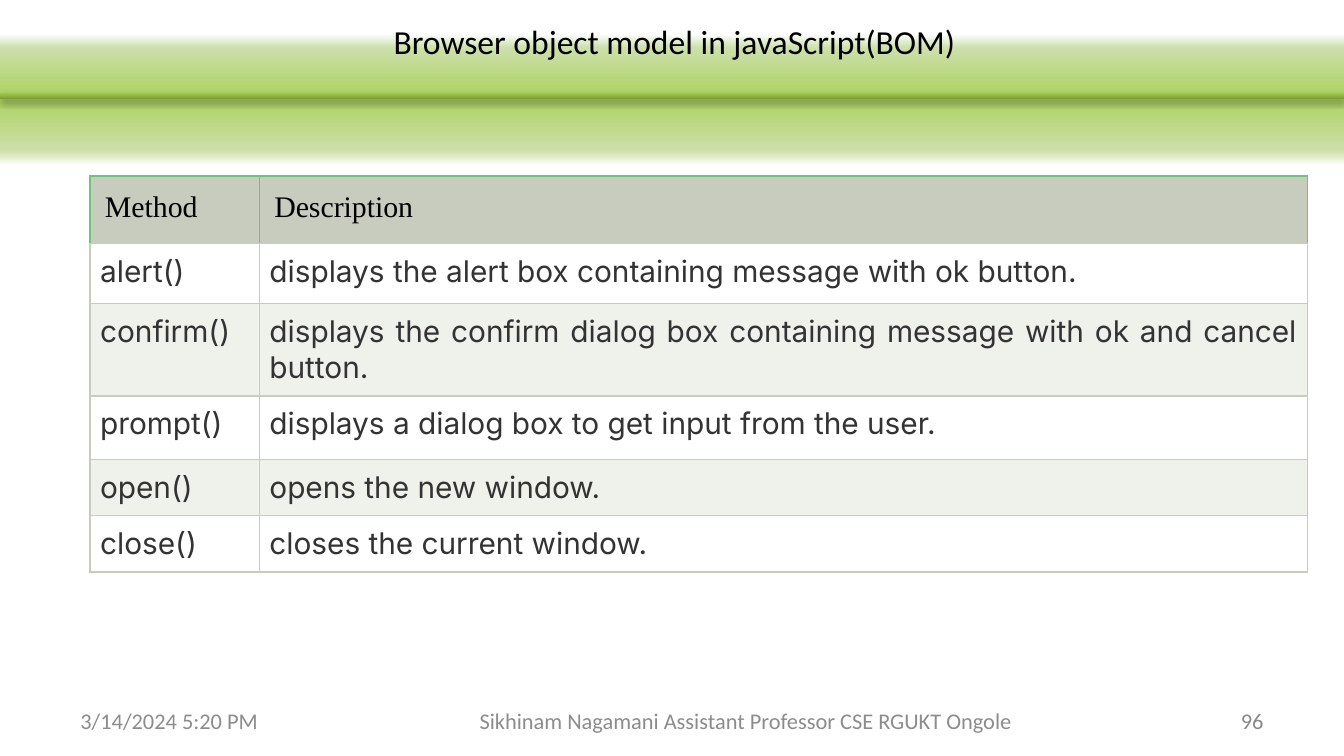
from dataclasses import dataclass

from lxml.etree import SubElement
from pptx import Presentation
from pptx.dml.color import RGBColor
from pptx.enum.shapes import MSO_SHAPE
from pptx.enum.text import MSO_ANCHOR, PP_ALIGN
from pptx.oxml.ns import qn
from pptx.util import Inches, Pt

BLACK = RGBColor(0x00, 0x00, 0x00)
WHITE = RGBColor(0xFF, 0xFF, 0xFF)
BODY_TEXT = RGBColor(0x33, 0x33, 0x33)
FOOTER_GRAY = RGBColor(0x8C, 0x8C, 0x8C)
NUMBER_GRAY = RGBColor(0x89, 0x89, 0x89)
HEADER_FILL = RGBColor(0xC7, 0xCC, 0xBE)
HEADER_LINE = RGBColor(0x70, 0xC4, 0x77)
BAND_FILL = RGBColor(0xEF, 0xF1, 0xEB)
BAR_DARK = RGBColor(0x77, 0x97, 0x37)
BAR_MIDDLE = RGBColor(0x9B, 0xC3, 0x48)
BAR_LIGHT = RGBColor(0x9D, 0xC7, 0x46)
GLOW_PALE = RGBColor(0xCD, 0xDF, 0xAA)
GLOW_STRONG = RGBColor(0xAB, 0xD2, 0x5F)


@dataclass(frozen=True)
class Label:
    text: str
    left: float
    top: float
    width: float
    height: float
    size: int
    color: RGBColor
    align: PP_ALIGN = PP_ALIGN.LEFT
    anchor: MSO_ANCHOR = MSO_ANCHOR.MIDDLE


@dataclass(frozen=True)
class CellStyle:
    font: str
    color: RGBColor
    align: PP_ALIGN
    inset_points: float
    side_line: RGBColor


@dataclass(frozen=True)
class Method:
    name: str
    description: str
    height: float


LABELS = [
    Label("96", 7.17, 5.21, 2.33, 0.3, 12, NUMBER_GRAY, PP_ALIGN.RIGHT),
    Label("3/14/2024 5:20 PM", 0.5, 5.21, 2.33, 0.3, 12, FOOTER_GRAY),
    Label("Browser object model in javaScript(BOM)", 2.83, 0.11, 5.32, 0.4, 18,
          BLACK, anchor=MSO_ANCHOR.TOP),
    Label("Sikhinam Nagamani Assistant Professor CSE RGUKT Ongole",
          3.42, 5.21, 4.26, 0.3, 12, FOOTER_GRAY, PP_ALIGN.CENTER),
]
HEADER_STYLE = CellStyle("Times New Roman", BLACK, PP_ALIGN.LEFT, 8, HEADER_LINE)
BODY_STYLE = CellStyle("Inter", BODY_TEXT, PP_ALIGN.JUSTIFY, 5.4, HEADER_FILL)
COLUMN_WIDTHS = [1.26, 7.8]
ROWS = [
    Method("Method", "Description", 0.5),
    Method("alert()", "displays the alert box containing message with ok button.", 0.45),
    Method("confirm()", "displays the confirm dialog box containing message "
           "with ok and cancel button.", 0.47),
    Method("prompt()", "displays a dialog box to get input from the user.", 0.47),
    Method("open()", "opens the new window.", 0.42),
    Method("close()", "closes the current window.", 0.42),
]


def add_color(parent, color: RGBColor):
    return SubElement(parent, qn("a:srgbClr"), val=str(color))


def add_bar(page, top: float, height: float, angle: int,
            stops: list[tuple[int, RGBColor]]):
    """Draw a full-width rectangle with a gradient of any number of stops."""
    bar = page.shapes.add_shape(MSO_SHAPE.RECTANGLE, 0, Inches(top),
                                Inches(10), Inches(height))
    bar.shadow.inherit = False
    bar.line.fill.background()
    bar.fill.gradient()
    bar.fill.gradient_angle = angle
    stop_list = bar._element.spPr.find(qn("a:gradFill")).find(qn("a:gsLst"))
    for old_stop in list(stop_list):
        stop_list.remove(old_stop)
    for percent, color in stops:
        add_color(SubElement(stop_list, qn("a:gs"), pos=str(percent * 1000)), color)
    return bar


def add_shadow(shape) -> None:
    effects = shape._element.spPr.find(qn("a:effectLst"))
    shadow = SubElement(effects, qn("a:outerShdw"), blurRad=str(Pt(3.1)),
                        dist=str(Pt(1.8)), dir="5400000", rotWithShape="0")
    SubElement(add_color(shadow, BLACK), qn("a:alpha"), val="35000")


def add_label(page, label: Label) -> None:
    box = page.shapes.add_textbox(Inches(label.left), Inches(label.top),
                                  Inches(label.width), Inches(label.height))
    frame = box.text_frame
    frame.word_wrap = True
    frame.vertical_anchor = label.anchor
    para = frame.paragraphs[0]
    para.text = label.text
    para.alignment = label.align
    para.font.name = "Calibri"
    para.font.size = Pt(label.size)
    para.font.color.rgb = label.color


def set_borders(cell, side_line: RGBColor) -> None:
    """Put the border lines ahead of the cell fill, as the schema asks."""
    properties = cell._tc.get_or_add_tcPr()
    sides = {"a:lnL": side_line, "a:lnR": side_line,
             "a:lnT": side_line, "a:lnB": HEADER_FILL}
    for index, (tag, color) in enumerate(sides.items()):
        line = SubElement(properties, qn(tag), w=str(Pt(0.75)))
        add_color(SubElement(line, qn("a:solidFill")), color)
        properties.insert(index, line)


def fill_cell(cell, text: str, fill: RGBColor, style: CellStyle) -> None:
    cell.fill.solid()
    cell.fill.fore_color.rgb = fill
    inset = Inches(style.inset_points / 72)
    cell.margin_left = cell.margin_right = inset
    cell.margin_top = cell.margin_bottom = inset
    para = cell.text_frame.paragraphs[0]
    para.text = text
    para.alignment = style.align
    para.font.name = style.font
    para.font.size = Pt(16)
    para.font.color.rgb = style.color
    set_borders(cell, style.side_line)


def add_method_table(page) -> None:
    frame = page.shapes.add_table(len(ROWS), len(COLUMN_WIDTHS), Inches(0.67), Inches(1.31),
                                  Inches(sum(COLUMN_WIDTHS)),
                                  Inches(sum(row.height for row in ROWS)))
    table = frame.table
    for column, width in zip(table.columns, COLUMN_WIDTHS):
        column.width = Inches(width)
    for index, method in enumerate(ROWS):
        table.rows[index].height = Inches(method.height)
        style = BODY_STYLE if index else HEADER_STYLE
        band = WHITE if index % 2 else BAND_FILL
        fill = band if index else HEADER_FILL
        for column, text in enumerate((method.name, method.description)):
            fill_cell(table.cell(index, column), text, fill, style)


def main() -> None:
    deck = Presentation()
    deck.slide_width = Inches(10)
    deck.slide_height = Inches(10 * 9 / 16)
    page = deck.slides.add_slide(deck.slide_layouts[6])

    # Green glow with the divider bar across its middle
    add_bar(page, 0.25, 0.98, 270, [(0, WHITE), (11, GLOW_PALE), (48, GLOW_STRONG),
                                    (89, GLOW_PALE), (100, WHITE)])
    divider = add_bar(page, 0.69, 0.05, 90,
                      [(0, BAR_DARK), (80, BAR_MIDDLE), (100, BAR_LIGHT)])
    add_shadow(divider)

    # Table of methods
    add_method_table(page)

    # Title and footer
    for label in LABELS:
        add_label(page, label)

    deck.save("out.pptx")


if __name__ == "__main__":
    main()
